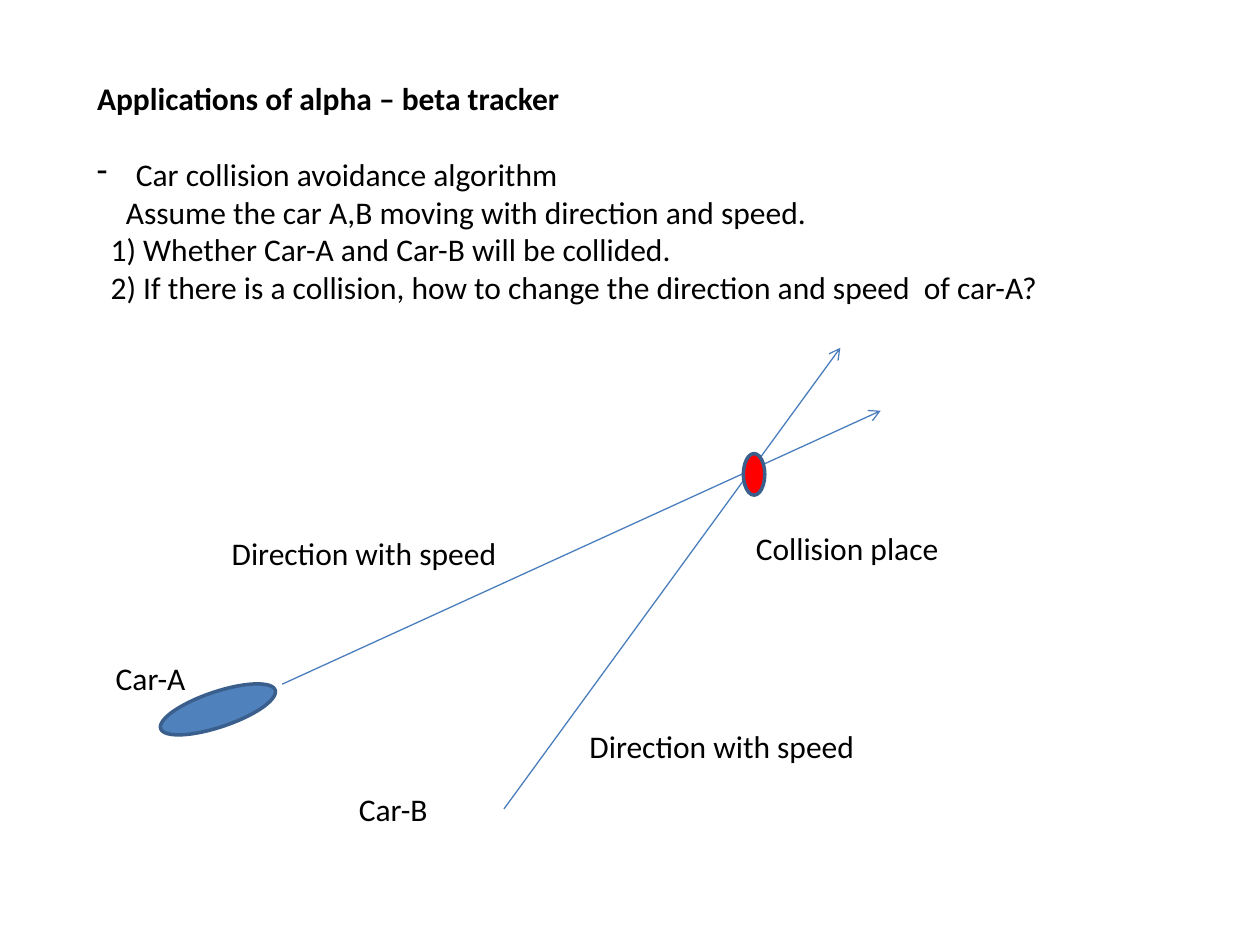
"""Build the slide on applications of the alpha-beta tracker."""
from lxml import etree
from pptx import Presentation, util as u
from pptx.dml.color import RGBColor
from pptx.enum import shapes, text
from pptx.oxml.ns import qn

COLORS = {"text": "000000", "car": "4F81BD", "hit": "FF0000",
          "edge": "3A5F8C", "path": "4B7EBC"}
FONT = "Calibri"


def rgb(name):
    """Return the named colour."""
    return RGBColor.from_string(COLORS[name])


def place(sp, x, y, w, h):
    """Move and size a shape in inches."""
    sp.left, sp.top, sp.width, sp.height = map(u.Inches, (x, y, w, h))


def write(tf, lines, size=18, bold=False, wrap=True):
    """Write lines of text, one paragraph each, in one format."""
    tf.word_wrap = wrap
    tf.auto_size = text.MSO_AUTO_SIZE.NONE
    tf.vertical_anchor = text.MSO_ANCHOR.TOP
    for i, line in enumerate(lines):
        p = tf.add_paragraph() if i else tf.paragraphs[0]
        p.alignment = text.PP_ALIGN.LEFT
        r = p.add_run()
        r.text = line
        r.font.name, r.font.size, r.font.bold = FONT, u.Pt(size), bold
        r.font.color.rgb = rgb("text")


def add_text(s, box, lines, **fmt):
    """Add a text box and return its frame."""
    tf = s.shapes.add_textbox(*map(u.Inches, box)).text_frame
    write(tf, lines, **fmt)
    return tf


def add_heading(s, x, y, w):
    """Fill the title placeholder."""
    place(s.shapes.title, x, y, w, 0.4)
    write(s.shapes.title.text_frame, ["Applications of alpha – beta tracker"], bold=True)


def add_problem(s, x, y, w, h):
    """Add the problem statement with its dash bullet and indents."""
    items = [
        ("Car collision avoidance algorithm", 0.31),
        ("Assume the car A,B moving with direction and speed.", 0.23),
        ("1) Whether Car-A and Car-B will be collided.", 0.11),
        ("2) If there is a collision, how to change the direction and speed  of car-A?", 0.11),
    ]
    tf = add_text(s, (x, y, w, h), [line for line, _ in items])
    for p, (_, margin) in zip(tf.paragraphs, items):
        p._p.get_or_add_pPr().set("marL", str(u.Inches(margin)))
    pPr = tf.paragraphs[0]._p.pPr
    pPr.set("indent", str(-u.Inches(0.31)))
    etree.SubElement(pPr, qn("a:buChar")).set("char", "-")


def add_ellipse(s, box, fill, angle=0):
    """Add an outlined ellipse."""
    sp = s.shapes.add_shape(shapes.MSO_SHAPE.OVAL, *map(u.Inches, box))
    sp.shadow.inherit = False
    sp.rotation = angle
    sp.fill.solid()
    sp.fill.fore_color.rgb = rgb(fill)
    sp.line.color.rgb = rgb("edge")
    sp.line.width = u.Pt(2)


def add_arrow(s, x1, y1, x2, y2):
    """Add a straight arrow."""
    cx = s.shapes.add_connector(shapes.MSO_CONNECTOR.STRAIGHT,
                                *map(u.Inches, (x1, y1, x2, y2)))
    cx.line.color.rgb = rgb("path")
    cx.line.width = u.Pt(0.75)
    etree.SubElement(cx.line._get_or_add_ln(), qn("a:tailEnd")).set("type", "arrow")
    etree.SubElement(cx._element.spPr, qn("a:effectLst"))


def add_diagram(s, x, y):
    """Draw the two car paths, their crossing and the labels."""
    add_ellipse(s, (x + 0.43, y + 2.73, 0.96, 0.28), "car", 341.4)
    for x1, y1, x2, y2 in ((1.42, 2.67, 6.17, 0.5), (3.18, 3.66, 5.85, 0)):
        add_arrow(s, x + x1, y + y1, x + x2, y + y2)
    add_ellipse(s, (x + 5.08, y + 0.84, 0.17, 0.33), "hit")
    labels = [
        ("Car-A", 0, 2.42, 0.77),
        ("Car-B", 1.93, 3.46, 0.76),
        ("Direction with speed", 0.92, 1.43, 2.39),
        ("Direction with speed", 3.76, 2.96, 2.39),
        ("Collision place", 5.08, 1.39, 1.73),
    ]
    for label, dx, dy, w in labels:
        add_text(s, (x + dx, y + dy, w, 0.4), [label], wrap=False)


def main():
    """Build and save the presentation."""
    prs = Presentation()
    prs.slide_width, prs.slide_height = u.Inches(10), u.Inches(7.5)
    s = prs.slides.add_slide(prs.slide_layouts[5])
    add_heading(s, 0.67, 0.58, 8.92)
    add_problem(s, 0.67, 1.18, 8.92, 1.92)
    add_diagram(s, 0.82, 2.76)
    prs.save("out.pptx")


main()
